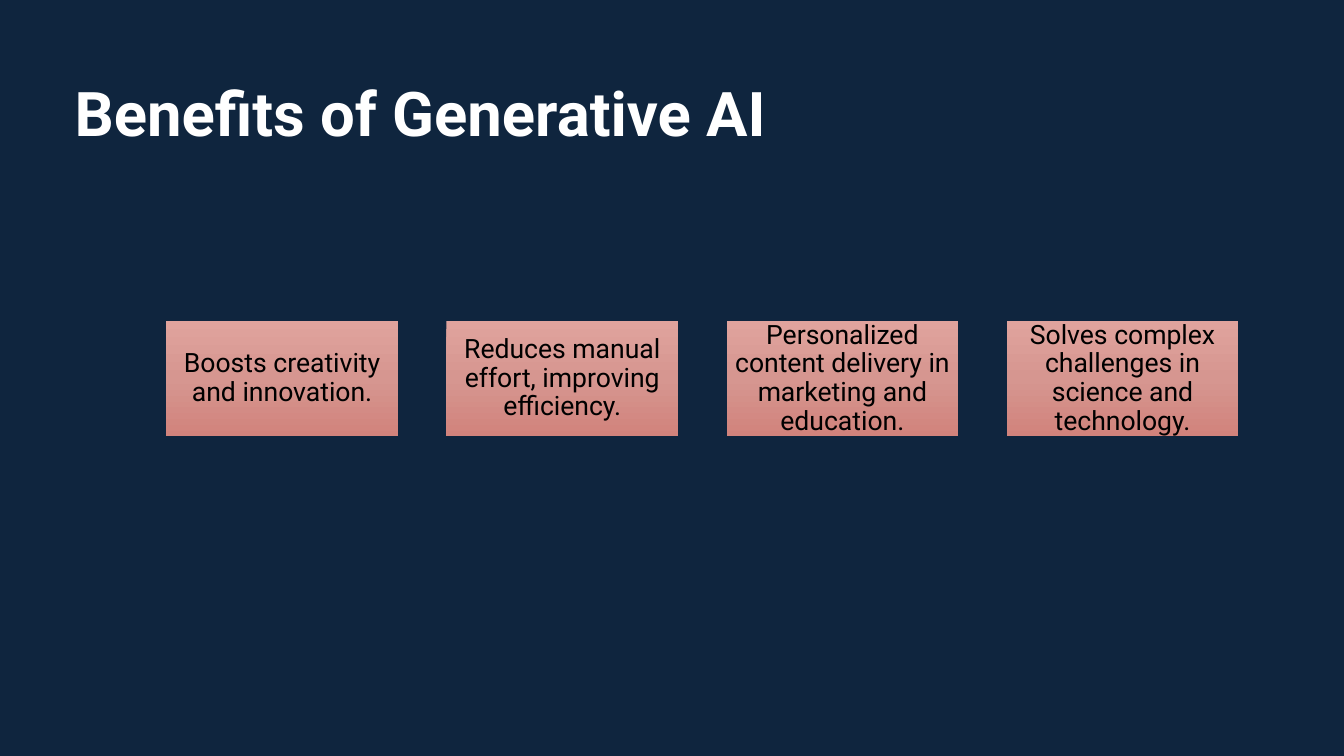
import copy

import pptx
import pptx.dml.color
import pptx.enum.shapes
import pptx.enum.text
import pptx.oxml.ns
import pptx.util
from pptx.util import Cm

FONT = "Roboto"
NAVY, WHITE, BLACK = "0F253E", "FFFFFF", "000000"
CARD_SHADES = ["E0A39D", "D69690", "D1837C"]
BENEFITS = [
    "Boosts creativity and innovation.",
    "Reduces manual effort, improving efficiency.",
    "Personalized content delivery in marketing and education.",
    "Solves complex challenges in science and technology.",
]
CARD_LEFT, CARD_TOP, CARD_PITCH = 4.19, 8.08, 7.06
CARD_WIDTH, CARD_HEIGHT = 5.84, 2.92


def color(hex_code):
    return pptx.dml.color.RGBColor.from_string(hex_code)


def write(frame, wording, size, hex_code, align, bold=False):
    frame.word_wrap = True
    frame.vertical_anchor = pptx.enum.text.MSO_ANCHOR.MIDDLE
    frame.text = wording
    paragraph = frame.paragraphs[0]
    paragraph.alignment = align
    paragraph.line_spacing = 0.9
    font = paragraph.runs[0].font
    font.name = FONT
    font.size = pptx.util.Pt(size)
    font.bold = bold
    font.color.rgb = color(hex_code)


def shade(card):
    """Fill a card with a three-stop gradient running downwards."""
    card.fill.gradient()
    card.fill.gradient_angle = 270
    stop_list = card._element.spPr.find(".//" + pptx.oxml.ns.qn("a:gsLst"))
    stop_list.insert(1, copy.deepcopy(stop_list[0]))
    for index, (stop, hex_code) in enumerate(zip(card.fill.gradient_stops, CARD_SHADES)):
        stop.position = index / 2
        stop.color.rgb = color(hex_code)


def add_title(slide, wording):
    title = slide.shapes.add_textbox(Cm(1.63), Cm(1.4), Cm(29.21), Cm(3.1))
    write(title.text_frame, wording, 44, WHITE, pptx.enum.text.PP_ALIGN.LEFT, bold=True)


def add_card(slide, left, wording):
    card = slide.shapes.add_shape(
        pptx.enum.shapes.MSO_SHAPE.RECTANGLE,
        Cm(left), Cm(CARD_TOP), Cm(CARD_WIDTH), Cm(CARD_HEIGHT))
    card.shadow.inherit = False
    card.line.fill.background()
    shade(card)
    frame = card.text_frame
    frame.margin_left = frame.margin_right = Cm(0.03)
    frame.margin_top = frame.margin_bottom = Cm(0.03)
    write(frame, wording, 19, BLACK, pptx.enum.text.PP_ALIGN.CENTER)


def main():
    deck = pptx.Presentation()
    deck.slide_width, deck.slide_height = Cm(33.87), Cm(19.05)
    slide = deck.slides.add_slide(deck.slide_layouts[6])

    # Background
    slide.background.fill.solid()
    slide.background.fill.fore_color.rgb = color(NAVY)

    # Title and row of benefit cards
    add_title(slide, "Benefits of Generative AI")
    for index, benefit in enumerate(BENEFITS):
        add_card(slide, CARD_LEFT + index * CARD_PITCH, benefit)

    deck.save("out.pptx")


if __name__ == "__main__":
    main()
